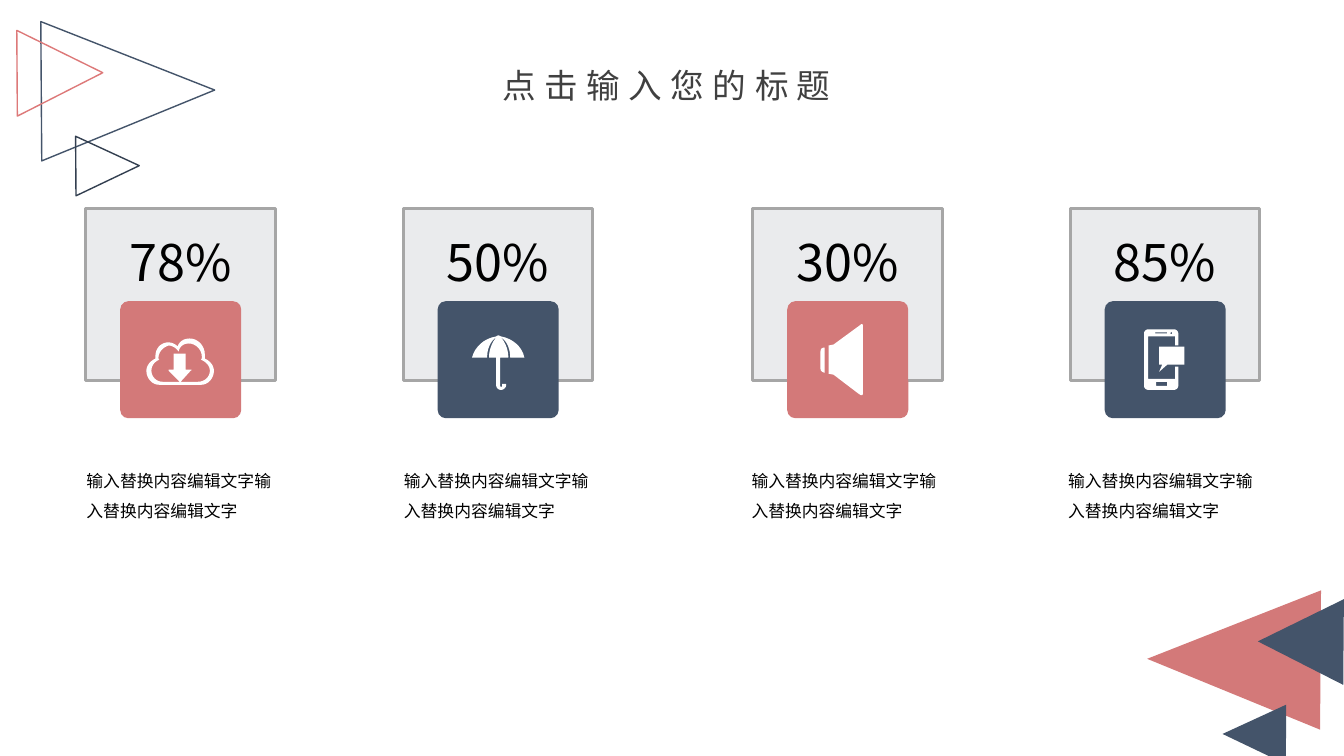
"""Build a slide of four percentage cards with icon badges and corner triangles."""
from lxml import etree
from pptx import Presentation
from pptx import util as u
from pptx.dml.color import RGBColor
from pptx.enum import shapes, text
from pptx.oxml.ns import qn

TITLE = "点击输入您的标题"
CAPTION = "输入替换内容编辑文字输入替换内容编辑文字"
FONT = "Noto Sans CJK SC"
COLORS = {"rose": "D37979", "slate": "44546A", "navy": "333F50", "coral": "DD7979",
          "panel": "BABDC4", "border": "A6A6A6", "title": "404040",
          "text": "000000", "icon": "FFFFFF"}

# left, top, width, height, rotation, fill, line
TRIANGLES = [
    (29.34, 14.43, 3.51, 4.37, 270.4, "rose", None),
    (30.86, 17.7, 1.5, 1.6, 270.4, "slate", None),
    (31.7, 15.09, 2.16, 2.16, 270.4, "slate", None),
    (1.47, 0.1, 3.51, 4.37, 89.6, None, "slate"),
    (1.96, 3.38, 1.5, 1.6, 89.6, None, "navy"),
    (0.43, 0.76, 2.16, 2.16, 89.6, None, "coral"),
]

CLOUD = [[
    [(84, 57), (84, 56, 84, 54, 84, 53), (84, 44, 77, 37, 69, 37),
     (59, 37, 57, 45, 57, 45), (57, 45, 53, 40, 46, 41), (39, 42, 35, 48, 35, 54),
     (35, 57), (30, 59, 26, 64, 26, 69), (26, 77, 32, 83, 39, 83), (80, 83),
     (87, 83, 93, 77, 93, 69), (93, 64, 89, 59, 84, 57)],
    [(77, 80), (60, 80), (70, 69), (70, 69, 72, 68, 70, 68), (65, 68), (65, 52),
     (53, 52), (53, 68), (48, 68), (48, 69), (59, 80), (42, 80),
     (36, 80, 31, 75, 31, 69), (31, 64, 34, 60, 39, 58), (38, 58, 38, 57, 38, 56),
     (38, 51, 42, 46, 48, 44), (54, 44, 58, 50, 58, 50), (58, 50, 59, 42, 68, 42),
     (75, 42, 81, 48, 81, 55), (81, 56, 81, 58, 80, 58), (85, 60, 89, 64, 89, 69),
     (89, 75, 84, 80, 77, 80)],
]]
UMBRELLA = [[
    [(72, 56), (86, 56), (84, 45, 74, 37, 63, 35), (62, 35, 62, 34, 60, 34),
     (59, 34, 58, 35, 58, 35), (46, 37, 37, 45, 34, 56), (49, 56),
     (49, 43, 56, 37, 58, 36), (50, 46, 51, 56, 51, 56), (58, 56), (58, 83),
     (58, 86, 60, 88, 63, 88), (65, 88, 68, 86, 68, 83), (68, 82), (64, 82), (64, 83),
     (64, 84, 64, 85, 63, 85), (62, 85, 62, 84, 62, 83), (62, 56), (70, 56),
     (70, 56, 71, 46, 63, 36), (65, 37, 72, 43, 72, 56)],
]]
SPEAKER = [
    [[(72, 24), (46, 43), (41, 44), (41, 72), (46, 73), (71, 92),
      (71, 92, 75, 95, 75, 92), (75, 24), (75, 21, 72, 24, 72, 24)]],
    [[(33, 50), (33, 67), (33, 69, 34, 70, 37, 71), (37, 46), (34, 46, 33, 48, 33, 50)]],
]
PHONE = [
    [[(70, 77), (43, 77), (43, 35), (70, 35), (70, 44), (73, 44), (73, 32),
      (73, 30, 71, 28, 69, 28), (43, 28), (41, 28, 39, 30, 39, 32), (39, 84),
      (39, 86, 41, 88, 43, 88), (69, 88), (71, 88, 73, 86, 73, 84), (73, 65), (70, 65)],
     [(66, 30), (67, 32), (66, 33), (65, 32)],
     [(50, 31), (62, 31), (62, 32), (50, 32)],
     [(62, 84), (51, 84), (51, 80), (62, 80)]],
    [[(54, 63), (57, 63), (54, 70), (62, 63), (79, 63), (79, 45), (54, 45)]],
]

# percentage, panel left, caption left, badge colour, icon
CARDS = [
    ("78%", 2.16, 1.93, "rose", CLOUD),
    ("50%", 10.16, 9.93, "slate", UMBRELLA),
    ("30%", 18.97, 18.69, "rose", SPEAKER),
    ("85%", 26.97, 26.67, "slate", PHONE),
]
PANEL_TOP, PANEL_WIDTH, PANEL_HEIGHT = 5.26, 4.78, 4.32
BADGE_SHIFT, BADGE_TOP, BADGE_WIDTH, BADGE_HEIGHT = 0.87, 7.59, 3.05, 2.95
ICON_UNIT = u.Cm(0.0254)
CURVE_STEPS = 8


def color(name):
    return RGBColor.from_string(COLORS[name])


def paint(shape, fill=None, line=None, width=1):
    shape.shadow.inherit = False
    if fill:
        shape.fill.solid()
        shape.fill.fore_color.rgb = color(fill)
    else:
        shape.fill.background()
    if line:
        shape.line.color.rgb = color(line)
        shape.line.width = u.Pt(width)
    else:
        shape.line.fill.background()


def add_preset(page, kind, bounds, **style):
    shape = page.shapes.add_shape(kind, *map(u.Cm, bounds))
    paint(shape, **style)
    return shape


def write(para, words, size, tint):
    span = para.add_run()
    span.text = words
    span.font.name = FONT
    span.font.size = u.Pt(size)
    span.font.color.rgb = color(tint)
    props = span._r.get_or_add_rPr()
    etree.SubElement(props, qn("a:ea"), typeface=FONT)
    return props


def flatten(outline):
    points = [outline[0]]
    for step in outline[1:]:
        if len(step) == 2:
            points.append(step)
            continue
        start, (a, b, c, d, e, f) = points[-1], step
        for i in range(1, CURVE_STEPS + 1):
            t = i / CURVE_STEPS
            s = 1 - t
            points.append(tuple(
                s**3 * p + 3 * s * s * t * q + 3 * s * t * t * r + t**3 * v
                for p, q, r, v in zip(start, (a, b), (c, d), (e, f))))
    return [(x * ICON_UNIT, y * ICON_UNIT) for x, y in points]


def add_icon(page, icon, left, top):
    for piece in icon:
        first, *others = map(flatten, piece)
        builder = page.shapes.build_freeform(*first[0], scale=1.0)
        builder.add_line_segments(first[1:], close=True)
        for contour in others:
            builder.move_to(*contour[0])
            builder.add_line_segments(contour[1:], close=True)
        paint(builder.convert_to_shape(u.Cm(left), u.Cm(top)), fill="icon")


def add_card(page, percent, left, caption_left, tint, icon):
    panel = add_preset(page, shapes.MSO_SHAPE.RECTANGLE,
                       (left, PANEL_TOP, PANEL_WIDTH, PANEL_HEIGHT),
                       fill="panel", line="border", width=2)
    fill_color = panel._element.spPr.find(qn("a:solidFill"))[0]
    etree.SubElement(fill_color, qn("a:alpha"), val="30000")
    frame = panel.text_frame
    frame.vertical_anchor = text.MSO_ANCHOR.MIDDLE
    frame.margin_bottom = u.Cm(1.78)
    para = frame.paragraphs[0]
    para.alignment = text.PP_ALIGN.CENTER
    write(para, percent, 36, "text")

    badge_left = left + BADGE_SHIFT
    badge = add_preset(page, shapes.MSO_SHAPE.ROUNDED_RECTANGLE,
                       (badge_left, BADGE_TOP, BADGE_WIDTH, BADGE_HEIGHT), fill=tint)
    badge.adjustments[0] = 0.07
    add_icon(page, icon, badge_left, BADGE_TOP)

    box = page.shapes.add_textbox(*map(u.Cm, (caption_left, 11.48, 5.23, 1.7)))
    box.text_frame.word_wrap = True
    para = box.text_frame.paragraphs[0]
    para.line_spacing = 1.5
    write(para, CAPTION, 12, "text")


def add_title(page):
    title = page.shapes.title
    title.left, title.top, title.width, title.height = map(u.Cm, (11.61, 1.63, 10.39, 1.02))
    frame = title.text_frame
    frame.auto_size = text.MSO_AUTO_SIZE.NONE
    frame.vertical_anchor = text.MSO_ANCHOR.MIDDLE
    frame.margin_left = frame.margin_right = frame.margin_top = frame.margin_bottom = 0
    para = frame.paragraphs[0]
    para.alignment = text.PP_ALIGN.CENTER
    write(para, TITLE, 24, "title").set("spc", "600")


def main():
    deck = Presentation()
    deck.slide_width, deck.slide_height = u.Cm(33.87), u.Cm(19.05)
    page = deck.slides.add_slide(deck.slide_layouts[5])
    for *bounds, angle, fill, line in TRIANGLES:
        triangle = add_preset(page, shapes.MSO_SHAPE.ISOSCELES_TRIANGLE, bounds,
                              fill=fill, line=line)
        triangle.rotation = angle
    for card in CARDS:
        add_card(page, *card)
    add_title(page)
    deck.save("out.pptx")


if __name__ == "__main__":
    main()
